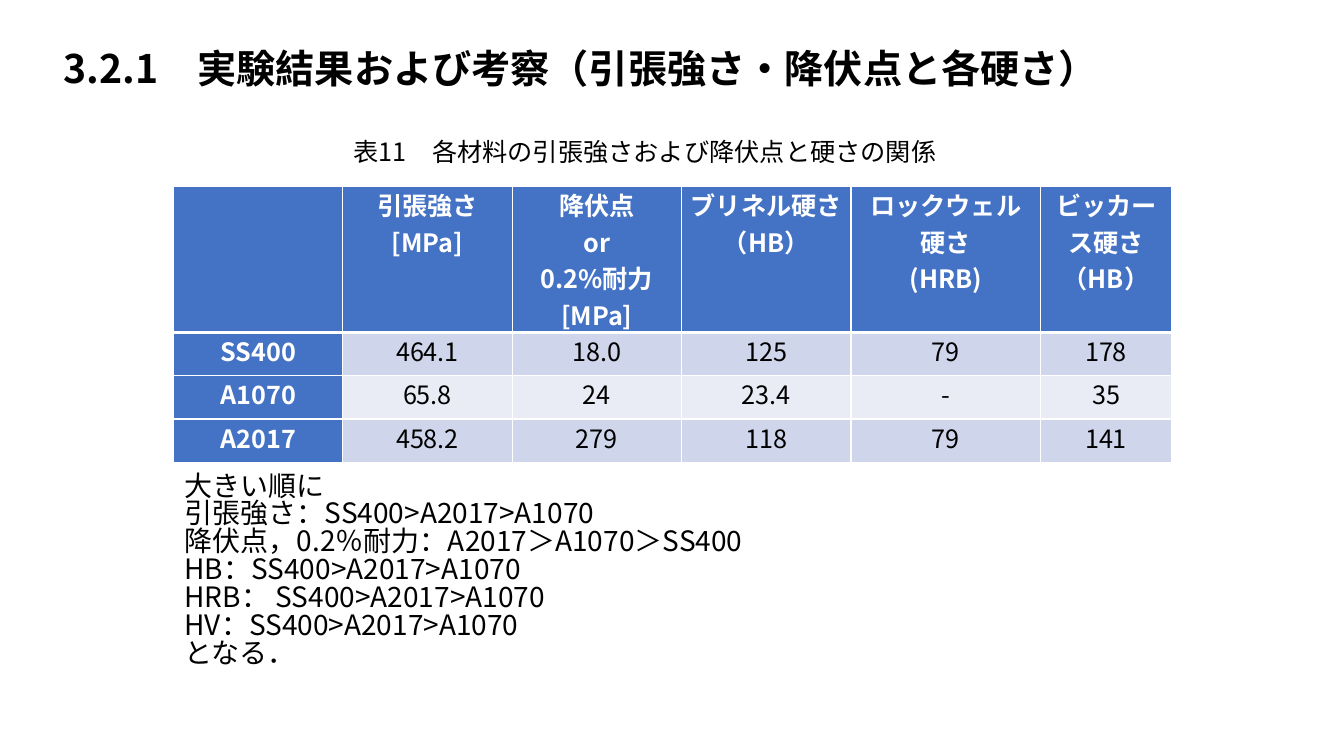
from lxml import etree
from pptx import Presentation
from pptx.dml.color import RGBColor
from pptx.enum import text as t
from pptx.oxml import ns
from pptx.util import Inches, Pt

FONT = "Noto Sans CJK JP"
BLUE, WHITE, BLACK = "4472C4", "FFFFFF", "000000"
BANDS = ["CFD5EA", "E9EBF5"]
LINE_SPACING = 0.83

COLUMN_WIDTHS = [1.68, 1.68, 1.68, 1.68, 1.88, 1.3]
ROW_HEIGHTS = [0.93, 0.43, 0.43, 0.43]
HARDNESS_ROWS = [
    ["", "引張強さ\n[MPa]", "降伏点\nor\n0.2%耐力\n[MPa]", "ブリネル硬さ\n（HB）",
     "ロックウェル硬さ\n(HRB)", "ビッカース硬さ\n（HB）"],
    ["SS400", "464.1", "18.0", "125", "79", "178"],
    ["A1070", "65.8", "24", "23.4", "-", "35"],
    ["A2017", "458.2", "279", "118", "79", "141"],
]
RANKINGS = [
    "大きい順に",
    "引張強さ：SS400>A2017>A1070",
    "降伏点，0.2％耐力：A2017＞A1070＞SS400",
    "HB：SS400>A2017>A1070",
    "HRB： SS400>A2017>A1070",
    "HV：SS400>A2017>A1070",
    "となる．",
]


def rgb(value):
    return RGBColor.from_string(value)


def add(parent, tag, **attributes):
    return etree.SubElement(parent, ns.qn(tag), **attributes)


def write(frame, lines, size, color=BLACK, bold=False,
          align=t.PP_ALIGN.LEFT, spacing=1.0):
    for index, line in enumerate(lines):
        paragraph = frame.add_paragraph() if index else frame.paragraphs[0]
        paragraph.alignment = align
        paragraph.line_spacing = spacing
        paragraph.space_before = Pt(0)
        run = paragraph.add_run()
        run.text = line
        run.font.size = Pt(size)
        run.font.bold = bold
        run.font.color.rgb = rgb(color)
        run.font.name = FONT
        add(run.font._element, "a:ea", typeface=FONT)


def fill_box(box, area, lines, size, bold=False):
    box.left, box.top, box.width, box.height = map(Inches, area)
    frame = box.text_frame
    frame.word_wrap = True
    frame.auto_size = t.MSO_AUTO_SIZE.NONE
    frame.vertical_anchor = t.MSO_ANCHOR.TOP
    write(frame, lines, size, bold=bold, spacing=LINE_SPACING)


def remove_bullets(frame):
    for paragraph in frame.paragraphs:
        properties = paragraph._p.get_or_add_pPr()
        properties.set("marL", "0")
        properties.set("indent", "0")
        add(properties, "a:buNone")


def set_borders(cell, bottom):
    properties = cell._tc.get_or_add_tcPr()
    widths = {"a:lnL": 1, "a:lnR": 1, "a:lnT": 1, "a:lnB": bottom}
    for position, (side, width) in enumerate(widths.items()):
        line = add(properties, side, w=str(Pt(width)))
        add(add(line, "a:solidFill"), "a:srgbClr", val=WHITE)
        properties.insert(position, line)


def style_cell(cell, content, row, column):
    heading = row == 0 or column == 0
    cell.margin_left = cell.margin_right = Inches(0.07)
    cell.margin_top = cell.margin_bottom = 0
    cell.fill.solid()
    cell.fill.fore_color.rgb = rgb(BLUE if heading else BANDS[(row - 1) % 2])
    set_borders(cell, 3 if row == 0 else 1)
    if content:
        write(cell.text_frame, content.split("\n"), 18,
              WHITE if heading else BLACK, heading, t.PP_ALIGN.CENTER)


def add_hardness_table(slide):
    table = slide.shapes.add_table(
        len(ROW_HEIGHTS), len(COLUMN_WIDTHS), Inches(1.72), Inches(1.85),
        Inches(sum(COLUMN_WIDTHS)), Inches(sum(ROW_HEIGHTS))).table
    for column, width in zip(table.columns, COLUMN_WIDTHS):
        column.width = Inches(width)
    for row, height in zip(table.rows, ROW_HEIGHTS):
        row.height = Inches(height)
    for row, contents in enumerate(HARDNESS_ROWS):
        for column, content in enumerate(contents):
            style_cell(table.cell(row, column), content, row, column)


def main():
    deck = Presentation()
    deck.slide_width, deck.slide_height = Inches(13.33), Inches(7.5)
    slide = deck.slides.add_slide(deck.slide_layouts[1])
    fill_box(slide.shapes.title, (0.53, 0.47, 10.52, 0.88),
             ["3.2.1　実験結果および考察（引張強さ・降伏点と各硬さ）"], 28, bold=True)
    add_hardness_table(slide)
    caption = slide.shapes.add_textbox(0, 0, 0, 0)
    fill_box(caption, (3.41, 1.35, 6.51, 0.4),
             ["表11　各材料の引張強さおよび降伏点と硬さの関係"], 18)
    rankings = slide.placeholders[1]
    fill_box(rankings, (1.73, 4.65, 10.3, 2.46), RANKINGS, 20)
    remove_bullets(rankings.text_frame)
    deck.save("out.pptx")


if __name__ == "__main__":
    main()
